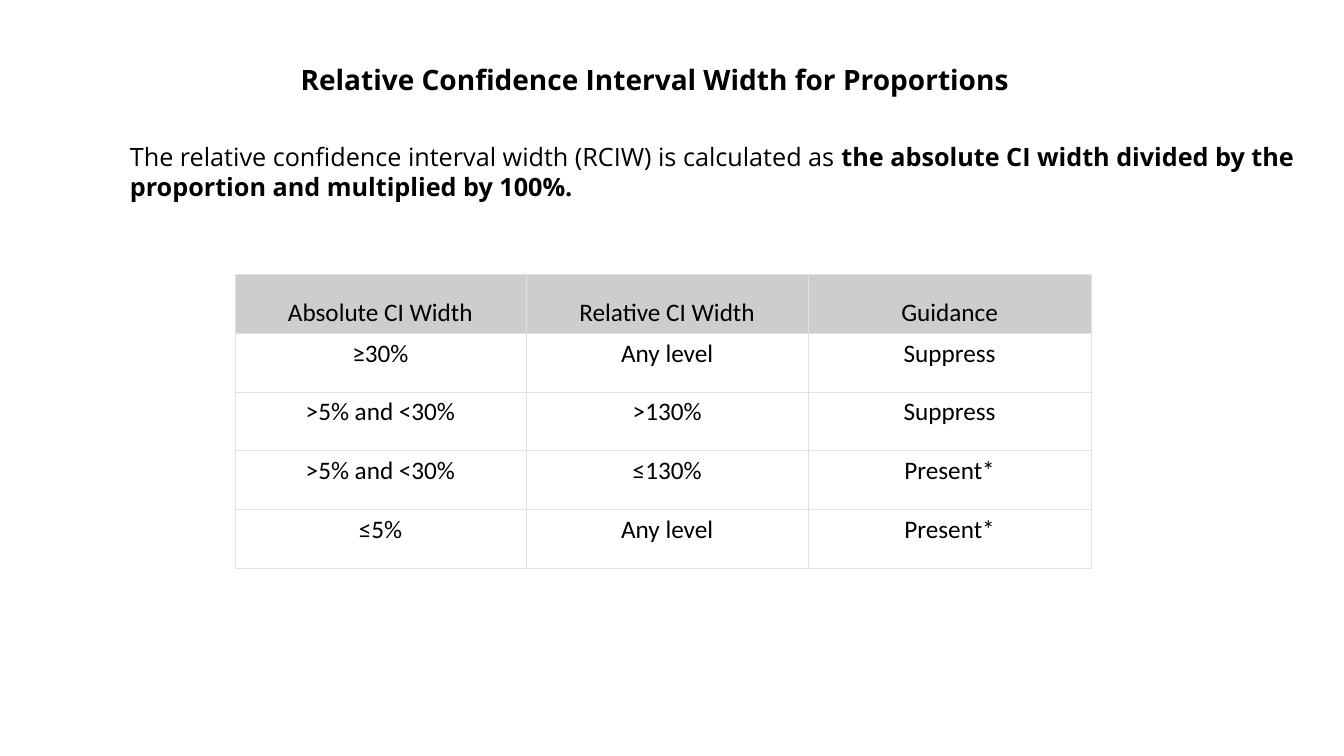
from dataclasses import dataclass

from lxml import etree
from pptx import Presentation
from pptx.dml.color import RGBColor
from pptx.enum.text import MSO_ANCHOR, MSO_AUTO_SIZE, PP_ALIGN
from pptx.oxml.ns import qn
from pptx.util import Inches, Pt

LEFT, CENTER = PP_ALIGN.LEFT, PP_ALIGN.CENTER
TOP, BOTTOM = MSO_ANCHOR.TOP, MSO_ANCHOR.BOTTOM
GROW = MSO_AUTO_SIZE.SHAPE_TO_FIT_TEXT


@dataclass(frozen=True)
class Theme:
    text: str = "000000"
    header_fill: str = "CDCDCD"
    body_fill: str = "FFFFFF"
    border: str = "DEE2E6"
    border_width: float = 0.6
    text_font: str = "Open Sans"
    table_font: str = "Calibri"
    title_size: int = 20
    body_size: int = 18


THEME = Theme()
SLIDE_WIDTH, SLIDE_HEIGHT = 13.33, 7.5

# Boxes: left, top, width, height in inches
TITLE_BOX = (2.12, 0.57, 8.75, 0.44)
DEFINITION_BOX = (1.19, 1.35, 11.84, 0.71)
TABLE_BOX = (2.33, 2.72, 8.49, 2.92)
COLUMN_SHARES = (0.34, 0.33, 0.33)

TITLE = [("Relative Confidence Interval Width for Proportions", True)]
DEFINITION = [
    ("The relative confidence interval width (RCIW) is calculated as ", False),
    ("the absolute CI width divided by the proportion and multiplied by 100%.", True),
]
GUIDANCE = [
    ("Absolute CI Width", "Relative CI Width", "Guidance"),
    ("≥30%", "Any level", "Suppress"),
    (">5% and <30%", ">130%", "Suppress"),
    (">5% and <30%", "≤130%", "Present*"),
    ("≤5%", "Any level", "Present*"),
]


def add_runs(paragraph, runs, font, size, alignment):
    paragraph.alignment = alignment
    for text, bold in runs:
        run = paragraph.add_run()
        run.text = text
        run.font.name = font
        run.font.size = Pt(size)
        run.font.bold = bold
        run.font.color.rgb = RGBColor.from_string(THEME.text)


def add_text(slide, box, runs, size, alignment):
    shape = slide.shapes.add_textbox(*map(Inches, box))
    frame = shape.text_frame
    frame.word_wrap = True
    frame.auto_size = GROW
    add_runs(frame.paragraphs[0], runs, THEME.text_font, size, alignment)


def style_cell(cell, fill):
    # Borders come before the fill in the cell's properties
    properties = cell._tc.get_or_add_tcPr()
    for side in ("lnL", "lnR", "lnT", "lnB"):
        line = etree.SubElement(properties, qn(f"a:{side}"), w=str(Pt(THEME.border_width)))
        solid = etree.SubElement(line, qn("a:solidFill"))
        etree.SubElement(solid, qn("a:srgbClr"), val=THEME.border)
    cell.fill.solid()
    cell.fill.fore_color.rgb = RGBColor.from_string(fill)


def add_guidance_table(slide, box, rows):
    width, height = box[2:]
    frame = slide.shapes.add_table(len(rows), len(COLUMN_SHARES), *map(Inches, box))
    table = frame.table
    table.horz_banding = False
    for column, share in zip(table.columns, COLUMN_SHARES):
        column.width = Inches(width * share)
    for row_index, values in enumerate(rows):
        is_header = row_index == 0
        table.rows[row_index].height = Inches(height / len(rows))
        for column_index, value in enumerate(values):
            cell = table.cell(row_index, column_index)
            cell.vertical_anchor = BOTTOM if is_header else TOP
            style_cell(cell, THEME.header_fill if is_header else THEME.body_fill)
            add_runs(cell.text_frame.paragraphs[0], [(value, False)],
                     THEME.table_font, THEME.body_size, CENTER)


def main():
    presentation = Presentation()
    presentation.slide_width = Inches(SLIDE_WIDTH)
    presentation.slide_height = Inches(SLIDE_HEIGHT)
    slide = presentation.slides.add_slide(presentation.slide_layouts[6])

    # Title and definition
    add_text(slide, TITLE_BOX, TITLE, THEME.title_size, CENTER)
    add_text(slide, DEFINITION_BOX, DEFINITION, THEME.body_size, LEFT)

    # Guidance table
    add_guidance_table(slide, TABLE_BOX, GUIDANCE)

    presentation.save("out.pptx")


if __name__ == "__main__":
    main()
